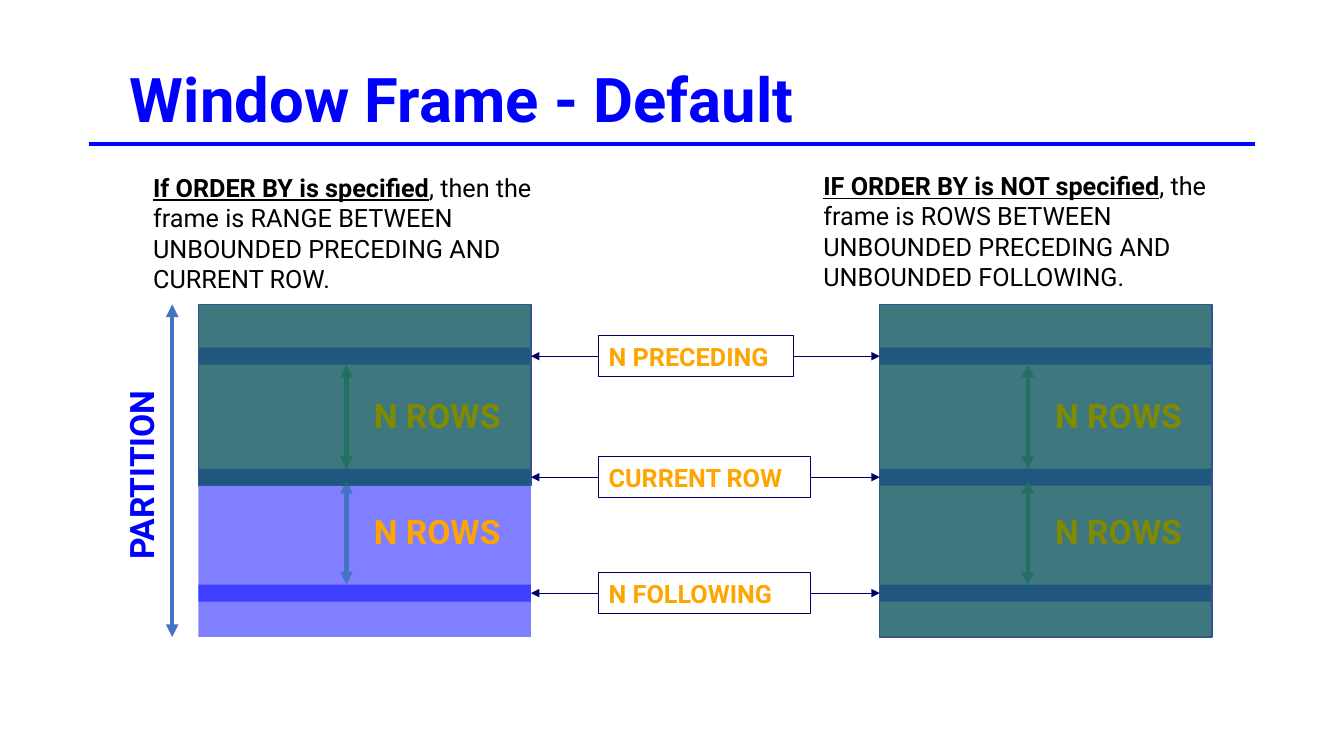
from dataclasses import dataclass

from lxml.etree import SubElement as Sub
from pptx import Presentation
from pptx.dml.color import RGBColor as Rgb
from pptx.enum.shapes import MSO_CONNECTOR as Link, MSO_SHAPE as Form
from pptx.enum.text import MSO_ANCHOR as Anchor, MSO_AUTO_SIZE as Fit, PP_ALIGN as Align
from pptx.oxml.ns import qn
from pptx.util import Cm, Pt


@dataclass(frozen=True)
class Theme:
    font: str = "Roboto"
    blue: str = "0000FF"
    navy: str = "000064"
    steel: str = "4472C4"
    edge: str = "325491"
    green: str = "007000"
    amber: str = "FFA500"
    black: str = "000000"
    white: str = "FFFFFF"
    title: int = 44
    large: int = 24
    body: int = 18


THEME = Theme()
TOP, SIDE, BAND = 7.67, 8.38, 0.43
LEFT, RIGHT = 5.0, 22.17
BANDS = (8.76, 11.81, 14.73)
SPANS = ((9.19, 11.81), (12.12, 14.73))
LABELS = (("N PRECEDING", 4.9), ("CURRENT ROW", 5.33), ("N FOLLOWING", 5.33))
LABEL_X, LABEL_H = 15.09, 1.02


def write(shape, *runs, size=THEME.body, color=THEME.black, bold=True, anchor=Anchor.TOP):
    frame = shape.text_frame
    frame.word_wrap = True
    frame.auto_size = Fit.NONE
    frame.vertical_anchor = anchor
    para = frame.paragraphs[0]
    para.alignment = Align.LEFT
    for text, lead in runs:
        run = para.add_run()
        run.text = text
        font = run.font
        font.name, font.size = THEME.font, Pt(size)
        font.bold = bold or lead
        font.underline = lead
        font.color.rgb = Rgb.from_string(color)


def note(slide, box, *runs, turn=0, **style):
    shape = slide.shapes.add_textbox(*map(Cm, box))
    shape.rotation = turn
    write(shape, *runs, **style)


def block(slide, box, fill=None, edge=None, width=1):
    shape = slide.shapes.add_shape(Form.RECTANGLE, *map(Cm, box))
    shape.shadow.inherit = False
    if fill:
        shape.fill.solid()
        shape.fill.fore_color.rgb = Rgb.from_string(fill)
        tint = shape.fill._xPr.find(".//" + qn("a:srgbClr"))
        Sub(tint, qn("a:alpha"), val="50000")
    else:
        shape.fill.background()
    if edge:
        shape.line.color.rgb = Rgb.from_string(edge)
        shape.line.width = Pt(width)
    else:
        shape.line.fill.background()
    return shape


def line(slide, start, end, color, width, tips=()):
    link = slide.shapes.add_connector(Link.STRAIGHT, *map(Cm, (*start, *end)))
    link.line.color.rgb = Rgb.from_string(color)
    link.line.width = Pt(width)
    for tip in tips:
        Sub(link.get_or_add_ln(), qn(f"a:{tip}End"), type="triangle")
    Sub(link._element.spPr, qn("a:effectLst"))


def span(slide, x, top, end):
    line(slide, (x, top), (x, end), THEME.steel, 3, ("head", "tail"))


def panel(slide, x, depth):
    block(slide, (x, TOP, SIDE, SIDE), THEME.blue)
    for top in BANDS:
        block(slide, (x, top, SIDE, BAND), THEME.blue)
    for (top, end), row in zip(SPANS, (9.83, 12.75)):
        span(slide, x + 3.73, top, end)
        note(slide, (x + 4.17, row, 4.19, 1.27), ("N ROWS", False),
             size=THEME.large, color=THEME.amber)
    block(slide, (x, TOP, SIDE, depth), THEME.green, THEME.edge)


def label(slide, text, width, top):
    mid = top + BAND / 2
    shape = block(slide, (LABEL_X, mid - LABEL_H / 2, width, LABEL_H),
                  edge=THEME.navy, width=0.75)
    write(shape, (text, False), color=THEME.amber, anchor=Anchor.MIDDLE)
    for start, end in ((LABEL_X, LEFT + SIDE), (LABEL_X + width, RIGHT)):
        line(slide, (start, mid), (end, mid), THEME.navy, 0.5, ("tail",))


def head(slide, text):
    title = slide.shapes.title
    title.left, title.top, title.width, title.height = map(Cm, (3.02, 1.3, 27.66, 1.96))
    title.fill.solid()
    title.fill.fore_color.rgb = Rgb.from_string(THEME.white)
    title.text_frame.margin_top = Cm(0.24)
    write(title, (text, False), size=THEME.title, color=THEME.blue)
    line(slide, (2.24, 3.63), (31.62, 3.63), THEME.blue, 3)


def main():
    deck = Presentation()
    deck.slide_width, deck.slide_height = Cm(33.87), Cm(19.05)
    slide = deck.slides.add_slide(deck.slide_layouts[5])
    head(slide, "Window Frame - Default")
    panel(slide, LEFT, 4.57)
    panel(slide, RIGHT, SIDE)
    for (text, width), top in zip(LABELS, BANDS):
        label(slide, text, width, top)
    span(slide, 4.34, TOP, TOP + SIDE)
    note(slide, (1.02, 11.2, 5.05, 1.27), ("PARTITION", False), turn=270,
         size=THEME.large, color=THEME.blue)
    note(slide, (3.61, 4.22, 10.36, 3.32), ("If ORDER BY is specified", True),
         (", then the frame is RANGE BETWEEN UNBOUNDED PRECEDING AND CURRENT ROW.", False),
         bold=False)
    note(slide, (20.5, 4.17, 11.13, 3.32), ("IF ORDER BY is NOT specified", True),
         (", the frame is ROWS BETWEEN UNBOUNDED PRECEDING AND UNBOUNDED FOLLOWING.", False),
         bold=False)
    deck.save("out.pptx")


if __name__ == "__main__":
    main()
